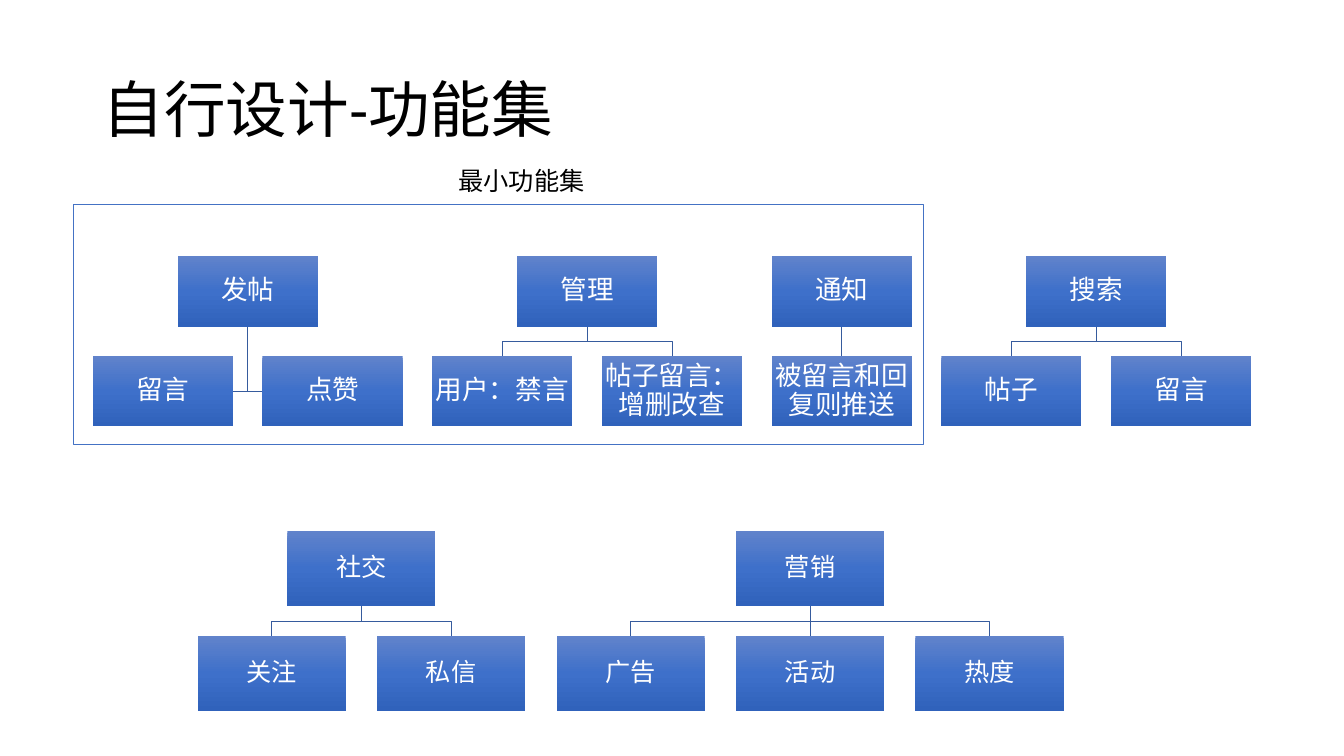
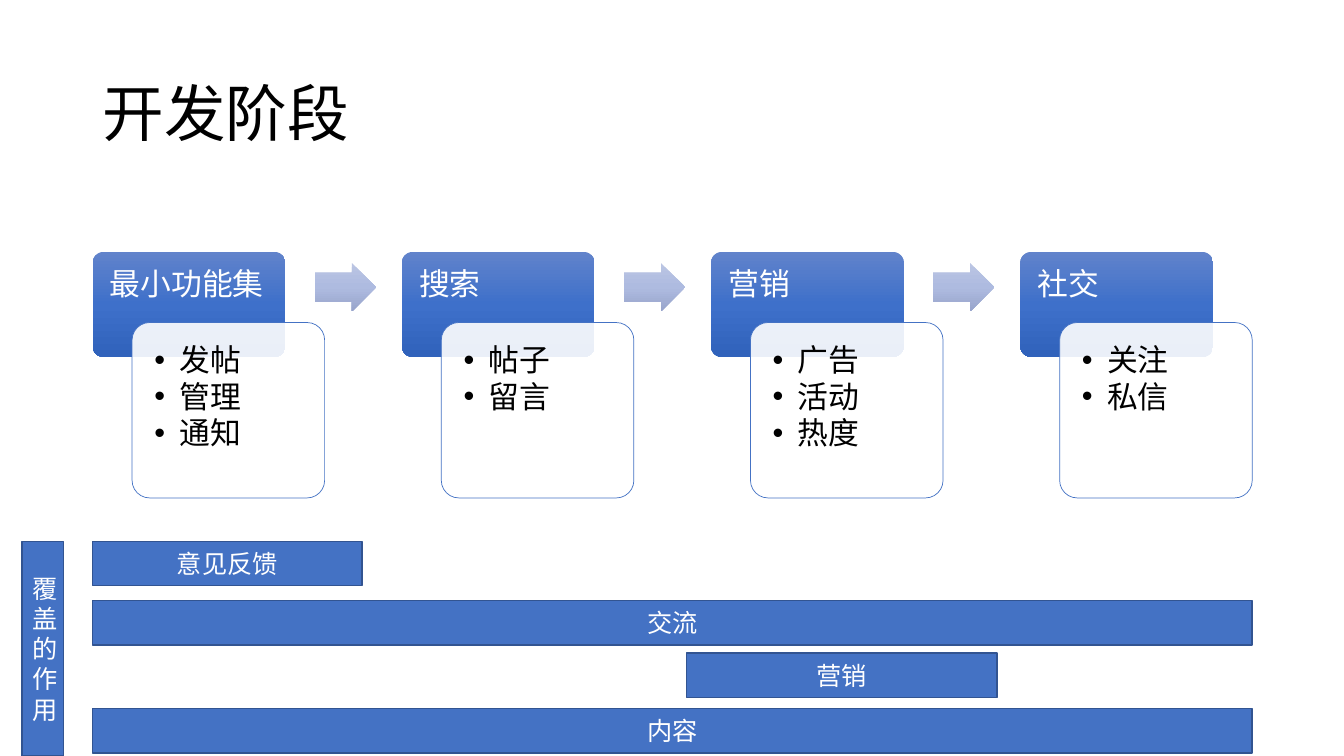
from copy import deepcopy
from dataclasses import dataclass

from lxml import etree
from pptx import Presentation
from pptx.dml.color import RGBColor
from pptx.enum.lang import MSO_LANGUAGE_ID as Lang
from pptx.enum.shapes import MSO_CONNECTOR as Connector, MSO_SHAPE as Preset
from pptx.enum.text import MSO_ANCHOR as Anchor, PP_ALIGN as Align
from pptx.oxml.ns import qn
from pptx.util import Emu, Pt

EMU_PER_PX = 9144  # 100 px to the inch


@dataclass(frozen=True)
class Theme:
    font: str = "Calibri"
    ink: str = "000000"
    paper: str = "FFFFFF"
    accent: str = "4472C4"
    bar_edge: str = "325491"
    link: str = "365B9D"
    node_shades: tuple = ("6183CB", "3E70CA", "3062BB")
    arrow_shades: tuple = ("BBC5E3", "AEBBE0", "98A4CB")
    title: int = 44
    stage: int = 22
    node: int = 19
    body: int = 18
    hairline: float = 0.5
    outline: float = 1


THEME = Theme()

FEATURES = [
    ("发帖", ["留言", "点赞"]),
    ("管理", ["用户：禁言", "帖子留言：增删改查"]),
    ("通知", ["被留言和回复则推送"]),
    ("搜索", ["帖子", "留言"]),
]
EXTRAS = [
    ("社交", ["关注", "私信"]),
    ("营销", ["广告", "活动", "热度"]),
]
STAGES = [
    ("最小功能集", ["发帖", "管理", "通知"]),
    ("搜索", ["帖子", "留言"]),
    ("营销", ["广告", "活动", "热度"]),
    ("社交", ["关注", "私信"]),
]
COVERAGE = [
    ("覆盖的作用", (22, 537, 41, 213)),
    ("意见反馈", (92, 537, 267, 44)),
    ("交流", (92, 596, 1150, 44)),
    ("营销", (681, 648, 308, 44)),
    ("内容", (92, 703, 1150, 44)),
]


def px(length):
    return Emu(round(length * EMU_PER_PX))


def rgb(code):
    return RGBColor.from_string(code)


def set_line(target, color, width):
    target.line.color.rgb = rgb(color)
    target.line.width = Pt(width)


def set_gradient(shape, shades):
    """Fill from top to bottom with three evenly spaced shades."""
    shape.fill.gradient()
    shape.fill.gradient_angle = 270
    stop_list = shape._element.spPr.find(".//" + qn("a:gsLst"))
    stop_list.insert(1, deepcopy(stop_list[0]))
    for stop, position, shade in zip(shape.fill.gradient_stops, (0, 0.5, 1), shades):
        stop.position = position
        stop.color.rgb = rgb(shade)


def add_box(slide, box, preset=Preset.RECTANGLE, adjustments=(), fill=None, shades=None,
            line=None, line_width=THEME.outline):
    shape = slide.shapes.add_shape(preset, *map(px, box))
    shape.shadow.inherit = False
    for index, value in enumerate(adjustments):
        shape.adjustments[index] = value
    if shades:
        set_gradient(shape, shades)
    elif fill:
        shape.fill.solid()
        shape.fill.fore_color.rgb = rgb(fill)
    else:
        shape.fill.background()
    if line:
        set_line(shape, line, line_width)
    else:
        shape.line.fill.background()
    return shape


def add_bullet(paragraph):
    properties = paragraph._p.get_or_add_pPr()
    for name, value in {"marL": px(25), "indent": -px(25)}.items():
        properties.set(name, str(value))
    for tag, attribute, value in (("a:buFont", "typeface", "Arial"), ("a:buChar", "char", "•")):
        etree.SubElement(properties, qn(tag)).set(attribute, value)


def write(shape, lines, size, color=THEME.ink, align=Align.LEFT, anchor=Anchor.MIDDLE,
          inset=None, spacing=1.0, bullets=False, wrap=True):
    frame = shape.text_frame
    frame.word_wrap = wrap
    frame.vertical_anchor = anchor
    if inset is not None:
        for side in ("left", "top", "right", "bottom"):
            setattr(frame, f"margin_{side}", px(inset))
    for index, line in enumerate(lines):
        paragraph = frame.add_paragraph() if index else frame.paragraphs[0]
        paragraph.alignment = align
        paragraph.line_spacing = spacing
        if bullets:
            paragraph.space_after = Pt(2.5)
            add_bullet(paragraph)
        run = paragraph.add_run()
        run.text = line
        styles = {"name": THEME.font, "size": Pt(size), "language_id": Lang.SIMPLIFIED_CHINESE}
        for name, value in styles.items():
            setattr(run.font, name, value)
        run.font.color.rgb = rgb(color)


def add_text(slide, box, text, size, **style):
    write(slide.shapes.add_textbox(*map(px, box)), [text], size, **style)


def add_title(slide, text, top):
    add_text(slide, (92, top, 1150, 145), text, THEME.title, spacing=0.9)


def add_link(slide, points):
    """Draw a straight line for two points, a bent one for more."""
    points = [(px(x), px(y)) for x, y in points]
    if len(points) == 2:
        link = slide.shapes.add_connector(Connector.STRAIGHT, *points[0], *points[1])
        etree.SubElement(link._element.spPr, qn("a:effectLst"))
    else:
        builder = slide.shapes.build_freeform(*points[0])
        builder.add_line_segments(points[1:], close=False)
        link = builder.convert_to_shape()
        link.shadow.inherit = False
        link.fill.background()
    set_line(link, THEME.link, THEME.hairline)


def add_trees(slide, box, groups, node_size, type_size, hanging=()):
    """Place two-level trees side by side, each head centred over its leaves."""
    left, top, width, height = box
    node_width, node_height = node_size
    leaf_top = top + height - node_height
    head_bottom = top + node_height
    leaf_count = sum(len(leaves) for _, leaves in groups)
    pitch = (width - node_width) / (leaf_count - 1)
    nodes = []
    first = 0
    for head, leaves in groups:
        lefts = [left + (first + index) * pitch for index in range(len(leaves))]
        first += len(leaves)
        head_left = (lefts[0] + lefts[-1]) / 2
        trunk = head_left + node_width / 2
        nodes.append((head, head_left, top))
        for leaf, leaf_left in zip(leaves, lefts):
            nodes.append((leaf, leaf_left, leaf_top))
            center = leaf_left + node_width / 2
            if head in hanging:
                bend = leaf_top + node_height / 2
                near_edge = leaf_left + (node_width if center < trunk else 0)
                route = [(trunk, bend), (near_edge, bend)]
            elif abs(center - trunk) < 1:
                route = [(trunk, leaf_top)]
            else:
                bend = (head_bottom + leaf_top) / 2
                route = [(trunk, bend), (center, bend), (center, leaf_top)]
            add_link(slide, [(trunk, head_bottom), *route])
    for label, node_left, node_top in nodes:
        node = add_box(slide, (node_left, node_top, *node_size), shades=THEME.node_shades)
        write(node, [label], type_size, THEME.paper, Align.CENTER, inset=1, spacing=0.9)


def add_stage(slide, left, top, name, features):
    header = add_box(slide, (left, top, 191, 104), Preset.ROUNDED_RECTANGLE, [0.1],
                     shades=THEME.node_shades)
    write(header, [name], THEME.stage, THEME.paper, anchor=Anchor.TOP, inset=14, spacing=0.9)
    card = add_box(slide, (left + 39, top + 70, 191, 174), Preset.ROUNDED_RECTANGLE, [0.1],
                   fill=THEME.paper, line=THEME.accent, line_width=THEME.hairline)
    color = card._element.spPr.find(qn("a:solidFill"))[0]
    etree.SubElement(color, qn("a:alpha")).set("val", "90000")
    write(card, features, THEME.stage, anchor=Anchor.TOP, inset=17, spacing=0.9, bullets=True)


def add_process(slide, box, stages):
    left, top, width = box
    pitch = (width - 230) / (len(stages) - 1)
    for index, (name, features) in enumerate(stages):
        stage_left = left + index * pitch
        add_stage(slide, stage_left, top, name, features)
        if index < len(stages) - 1:
            add_box(slide, (stage_left + 220, top + 11, 61, 48), Preset.RIGHT_ARROW, [0.6, 0.5],
                    shades=THEME.arrow_shades)


def add_coverage(slide, bars):
    for label, box in bars:
        bar = add_box(slide, box, fill=THEME.accent, line=THEME.bar_edge)
        write(bar, [label], THEME.body, THEME.paper, Align.CENTER)


def build_feature_slide(slide):
    add_title(slide, "自行设计-功能集", 39)
    add_trees(slide, (92, 254, 1149, 169), FEATURES, (139, 70), THEME.node, hanging=("发帖",))
    add_box(slide, (73, 203, 843, 238), line=THEME.accent)
    add_text(slide, (445, 159, 146, 40), "最小功能集", THEME.body, anchor=Anchor.TOP, wrap=False)
    add_trees(slide, (196, 527, 859, 178), EXTRAS, (147, 74), THEME.body)


def build_stage_slide(slide):
    add_title(slide, "开发阶段", 43)
    add_process(slide, (92, 250, 1150), STAGES)
    add_coverage(slide, COVERAGE)


def main():
    deck = Presentation()
    deck.slide_width, deck.slide_height = px(1333), px(750)
    for build in (build_feature_slide, build_stage_slide):
        build(deck.slides.add_slide(deck.slide_layouts[6]))
    deck.save("out.pptx")


if __name__ == "__main__":
    main()
